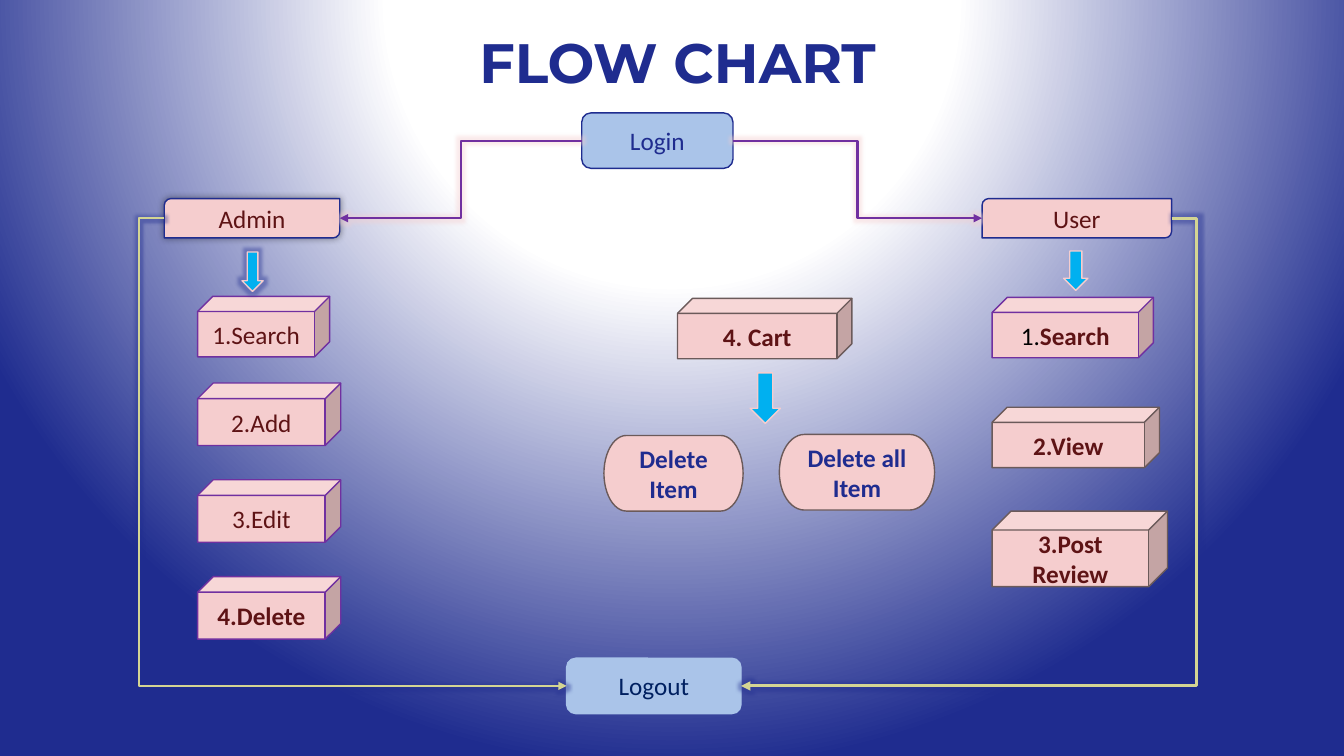
import pptx
import pptx.util
import pptx.oxml
import pptx.oxml.ns
import pptx.dml.color
import pptx.enum.shapes
import pptx.enum.text

Inches, Pt = pptx.util.Inches, pptx.util.Pt
SHAPE = pptx.enum.shapes.MSO_SHAPE
ALIGN = pptx.enum.text.PP_ALIGN
ANCHOR = pptx.enum.text.MSO_ANCHOR
qn = pptx.oxml.ns.qn
NS = pptx.oxml.ns.nsdecls("a", "p")

# Content
TITLE = "FLOW CHART"
COLORS = {
    "navy": "1F2C8F", "sky": "AAC4E9", "pink": "F5CDCE", "maroon": "5E1315",
    "purple": "7030A0", "brown": "6B5A5A", "olive": "D4D593", "cyan": "00B0F0",
    "ink": "002060", "black": "000000", "white": "FFFFFF",
}
# name: (kind, (left, top, width, height), fill, line, text color)
STATIONS = {
    "Login": (SHAPE.ROUNDED_RECTANGLE, (5.77, 1.12, 1.5, 0.55), "sky", "navy", "navy"),
    "Admin": (SHAPE.ROUND_2_DIAG_RECTANGLE, (1.63, 1.97, 1.74, 0.39), "pink", "navy", "maroon"),
    "User": (SHAPE.ROUND_2_DIAG_RECTANGLE, (9.74, 1.97, 1.88, 0.39), "pink", "navy", "maroon"),
    "Logout": (SHAPE.ROUNDED_RECTANGLE, (5.62, 6.53, 1.73, 0.55), "sky", "sky", "ink"),
}
# (text, (left, top, width, height), line, bold)
CUBES = [
    ("1.Search", (1.96, 2.94, 1.31, 0.6), "purple", False),
    ("2.Add", (1.96, 3.8, 1.42, 0.62), "purple", False),
    ("3.Edit", (1.96, 4.76, 1.42, 0.62), "purple", False),
    ("4.Delete", (1.96, 5.72, 1.42, 0.62), "purple", True),
    ("1.Search", (9.84, 2.95, 1.6, 0.6), "purple", True),
    ("2.View", (9.84, 4.04, 1.66, 0.6), "brown", True),
    ("3.Post Review", (9.84, 5.07, 1.74, 0.75), "brown", True),
    ("4. Cart", (6.72, 2.96, 1.73, 0.6), "brown", True),
]
CART_ACTIONS = [
    ("Delete Item", (5.99, 4.32, 1.38, 0.75)),
    ("Delete all Item", (7.73, 4.31, 1.54, 0.75)),
]
# ((left, top, width, height), glows)
DOWN_ARROWS = [
    ((2.4, 2.5, 0.21, 0.39), True),
    ((10.55, 2.49, 0.24, 0.39), False),
    ((7.44, 3.7, 0.3, 0.5), False),
]
# (from, side, to, side, color, width, bend, glow color); sides: 0 left, 1 right
ROUTES = [
    ("Login", 0, "Admin", 1, "purple", 1.5, 0.5, "pink"),
    ("Login", 1, "User", 0, "purple", 1.5, 0.5, "pink"),
    ("Admin", 0, "Logout", 0, "olive", 1.5, -0.063, "navy"),
    ("User", 1, "Logout", 1, "olive", 2.25, -0.059, "navy"),
]


def rgb(name):
    return pptx.dml.color.RGBColor.from_string(COLORS[name])


def add_effect(shape, inner=""):
    """Replace the theme effect with the given one, or with none."""
    props = shape._element.spPr
    for old in props.findall(qn("a:effectLst")):
        props.remove(old)
    props.append(pptx.oxml.parse_xml(f"<a:effectLst {NS}>{inner}</a:effectLst>"))


def glow(name, points):
    return (f'<a:glow rad="{Pt(points)}"><a:srgbClr val="{COLORS[name]}">'
            '<a:alpha val="40000"/></a:srgbClr></a:glow>')


def add_box(kind, at, fill, line, text="", color="black", bold=False):
    sp = s.shapes.add_shape(kind, *map(Inches, at))
    sp.shadow.inherit = False
    sp.fill.solid()
    sp.fill.fore_color.rgb = rgb(fill)
    sp.line.color.rgb = rgb(line)
    sp.line.width = Pt(1)
    if text:
        tf = sp.text_frame
        tf.word_wrap = True
        tf.vertical_anchor = ANCHOR.MIDDLE
        p = tf.paragraphs[0]
        p.text = text
        p.alignment = ALIGN.CENTER
        p.font.size, p.font.name, p.font.bold = Pt(18), "Calibri", bold
        p.font.color.rgb = rgb(color)
    return sp


prs = pptx.Presentation()
prs.slide_width, prs.slide_height = Inches(13.33), Inches(7.5)
s = prs.slides.add_slide(prs.slide_layouts[5])

# Background: white glow from above the slide
stops = "".join(f'<a:gs pos="{pos}"><a:srgbClr val="{COLORS[c]}"/></a:gs>'
                for pos, c in [(0, "white"), (37000, "white"), (100000, "navy")])
s._element.cSld.insert(0, pptx.oxml.parse_xml(
    f'<p:bg {NS}><p:bgPr><a:gradFill rotWithShape="1"><a:gsLst>{stops}</a:gsLst>'
    '<a:path path="circle"><a:fillToRect l="50000" t="-80000" r="50000" b="180000"/></a:path>'
    '</a:gradFill><a:effectLst/></p:bgPr></p:bg>'))

# Title
title = s.shapes.title
title.left, title.top, title.width, title.height = map(Inches, (3.92, 0.21, 5.6, 0.64))
tf = title.text_frame
tf.auto_size = pptx.enum.text.MSO_AUTO_SIZE.NONE
tf.vertical_anchor = ANCHOR.TOP
p = tf.paragraphs[0]
p.text = TITLE
p.alignment = ALIGN.CENTER
p.line_spacing = Pt(48.8)
p.font.size, p.font.name, p.font.bold = Pt(39.6), "Montserrat", True
p.font.color.rgb = rgb("navy")

# Stations
for name, (kind, at, fill, line, color) in STATIONS.items():
    sp = add_box(kind, at, fill, line, name, color)
    if name == "Admin":
        add_effect(sp, f'<a:outerShdw blurRad="{Pt(5)}" dist="0"><a:srgbClr val="000000">'
                       '<a:alpha val="40000"/></a:srgbClr></a:outerShdw>')


# Routes between stations
def side_point(name, side):
    left, top, width, height = STATIONS[name][1]
    return Inches(left + side * width), Inches(top + height / 2)


for start, side1, end, side2, color, width, bend, halo in ROUTES:
    cn = s.shapes.add_connector(pptx.enum.shapes.MSO_CONNECTOR.ELBOW,
                                *side_point(start, side1), *side_point(end, side2))
    cn.line.color.rgb = rgb(color)
    cn.line.width = Pt(width)
    cn.line._get_or_add_ln().append(
        pptx.oxml.parse_xml(f'<a:tailEnd {NS} type="triangle"/>'))
    # The bend is measured from the start of the route
    guides = cn._element.spPr.find(qn("a:prstGeom")).get_or_add_avLst()
    guides.append(pptx.oxml.parse_xml(
        f'<a:gd {NS} name="adj1" fmla="val {round(bend * 100000)}"/>'))
    add_effect(cn, glow(halo, 5))

# Menu cubes
for text, at, line, bold in CUBES:
    sp = add_box(SHAPE.CUBE, at, "pink", line, text, "maroon", bold)
    if text == "1.Search" and bold:
        # The user's first number is plain black
        p = sp.text_frame.paragraphs[0]
        p.runs[0].text = "1."
        p.runs[0].font.bold = False
        p.runs[0].font.color.rgb = rgb("black")
        p.add_run().text = "Search"

# Arrows and cart actions
for at, glows in DOWN_ARROWS:
    sp = add_box(SHAPE.DOWN_ARROW, at, "cyan", "pink")
    if glows:
        add_effect(sp, glow("navy", 5))
for text, at in CART_ACTIONS:
    add_box(SHAPE.FLOWCHART_TERMINATOR, at, "pink", "brown", text, "navy", True)

prs.save("out.pptx")
